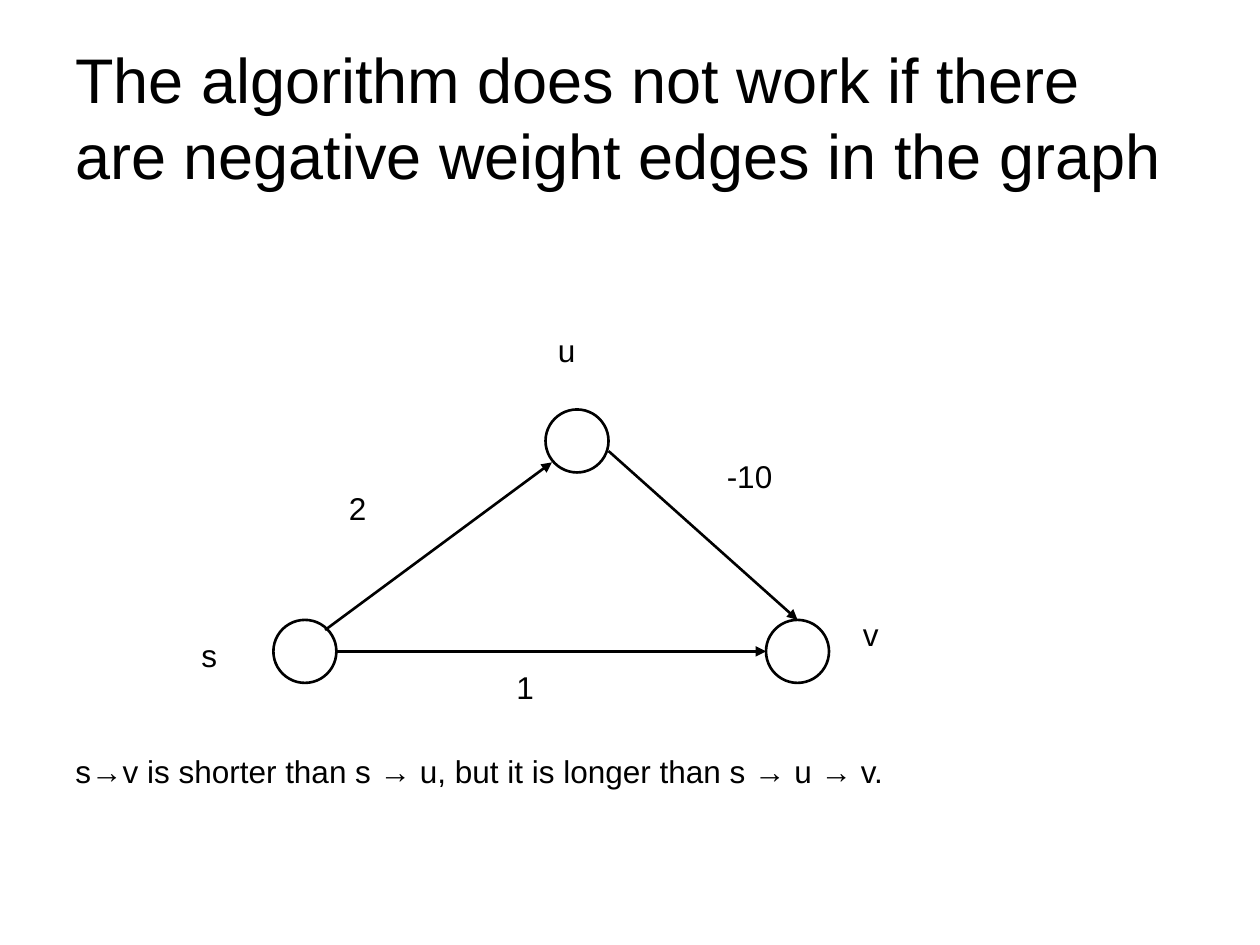
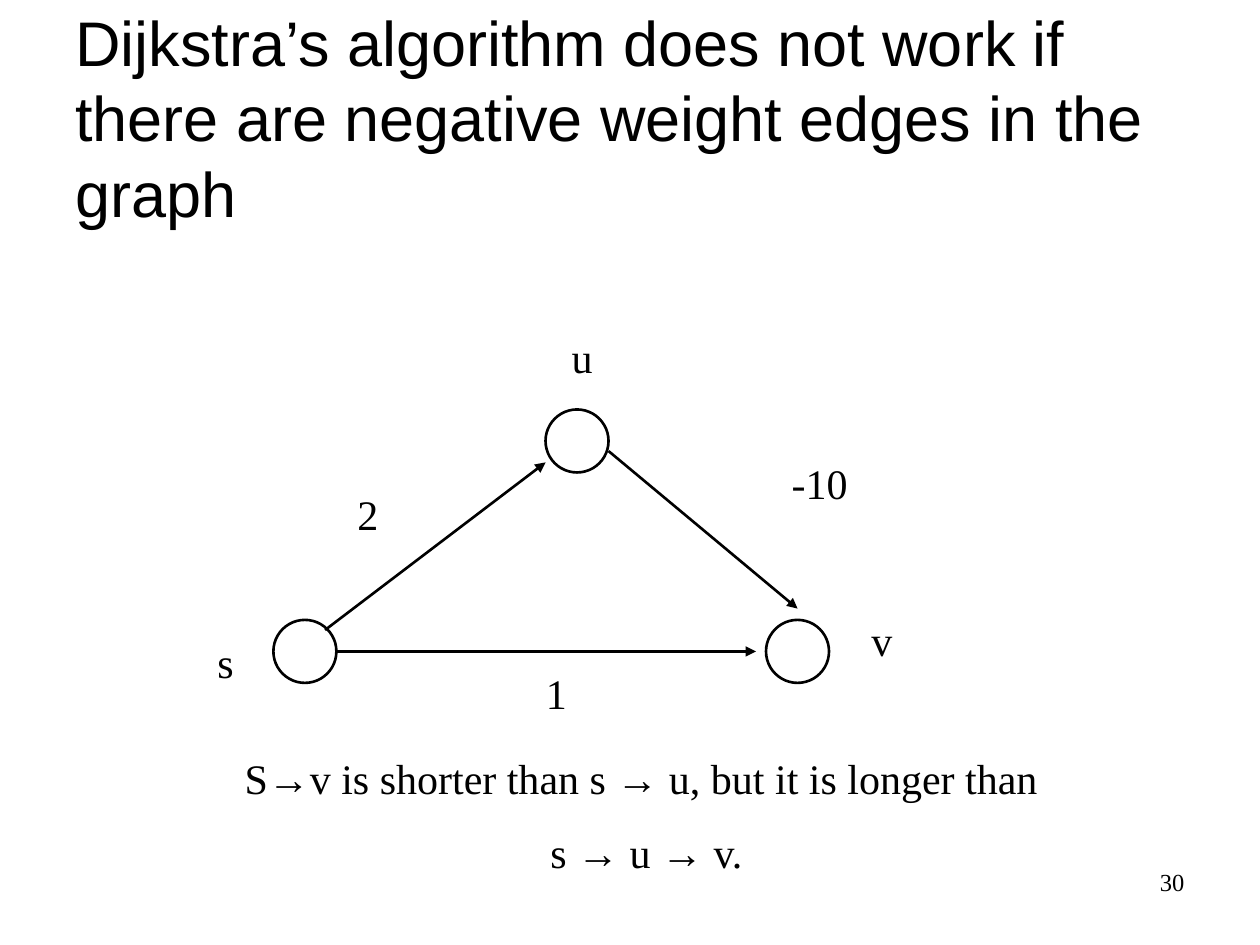
from dataclasses import dataclass

from lxml.etree import SubElement
from pptx import Presentation
from pptx.dml.color import RGBColor
from pptx.enum.shapes import MSO_CONNECTOR, MSO_SHAPE
from pptx.enum.text import MSO_ANCHOR, MSO_AUTO_SIZE, PP_ALIGN
from pptx.oxml.ns import qn
from pptx.slide import Slide
from pptx.util import Inches, Pt

BLACK = "000000"
WHITE = "FFFFFF"
LINE_WIDTH = Pt(1.5)
NODE_SIZE = 0.5


@dataclass(frozen=True)
class TextStyle:
    font: str
    size: float
    align: PP_ALIGN = PP_ALIGN.LEFT
    anchor: MSO_ANCHOR = MSO_ANCHOR.TOP
    grow: bool = False
    space_between: float = 0


@dataclass(frozen=True)
class Box:
    left: float
    top: float
    width: float
    height: float


@dataclass(frozen=True)
class Edge:
    start: tuple[float, float]
    end: tuple[float, float]


@dataclass(frozen=True)
class GraphSlide:
    title: str
    edge_ends: tuple[tuple[float, float], ...]
    label_style: TextStyle
    caption_box: Box
    caption: tuple[str, ...]
    page_number: str = ""


TITLE_STYLE = TextStyle("Arial", 36, anchor=MSO_ANCHOR.MIDDLE)
PAGE_STYLE = TextStyle("Times New Roman", 14, PP_ALIGN.RIGHT)
TITLE_BOX = Box(0.5, 0.3, 9, 1.25)
PAGE_BOX = Box(7.17, 6.83, 2.33, 0.52)

# Top left corners of the nodes s, u and v
NODES = ((2.17, 4.92), (4.33, 3.25), (6.08, 4.92))
# Starts of the edges s-u, s-v and u-v
EDGE_STARTS = ((2.58, 5), (2.67, 5.17), (4.83, 3.58))
LABELS = {
    "1": Box(4, 5.25, 0.83, 0.5),
    "2": Box(2.67, 3.83, 0.5, 0.5),
    "-10": Box(5.67, 3.58, 1.67, 0.5),
    "s": Box(1.5, 5, 0.58, 0.5),
    "v": Box(6.75, 4.83, 0.5, 0.5),
    "u": Box(4.33, 2.58, 0.58, 0.5),
}

SLIDES = (
    GraphSlide(
        title="The algorithm does not work if there are negative weight edges in the graph",
        edge_ends=((4.38, 3.67), (6.08, 5.17), (6.33, 4.92)),
        label_style=TextStyle("Arial", 18, grow=True),
        caption_box=Box(0.5, 5.92, 9.25, 0.4),
        caption=("s→v is shorter than s → u, but it is longer than s → u → v.",),
    ),
    GraphSlide(
        title="Dijkstra’s algorithm does not work if there are negative weight edges in the graph",
        edge_ends=((4.33, 3.67), (6, 5.17), (6.33, 4.83)),
        label_style=TextStyle(
            "Times New Roman", 24, PP_ALIGN.CENTER, grow=True, space_between=13.5
        ),
        caption_box=Box(1.17, 5.92, 7.92, 1.11),
        caption=("S→v is shorter than s → u, but it is longer than ", "s → u → v."),
        page_number="30",
    ),
)


def color(value: str) -> RGBColor:
    return RGBColor.from_string(value)


def add_text(slide: Slide, box: Box, style: TextStyle, *lines: str) -> None:
    shape = slide.shapes.add_textbox(
        Inches(box.left), Inches(box.top), Inches(box.width), Inches(box.height)
    )
    frame = shape.text_frame
    frame.word_wrap = True
    frame.vertical_anchor = style.anchor
    frame.auto_size = MSO_AUTO_SIZE.SHAPE_TO_FIT_TEXT if style.grow else MSO_AUTO_SIZE.NONE
    frame.text = "\n".join(lines)
    for index, paragraph in enumerate(frame.paragraphs):
        paragraph.alignment = style.align
        if index:
            paragraph.space_before = Pt(style.space_between)
        paragraph.font.name = style.font
        paragraph.font.size = Pt(style.size)
        paragraph.font.color.rgb = color(BLACK)


def add_node(slide: Slide, left: float, top: float) -> None:
    shape = slide.shapes.add_shape(
        MSO_SHAPE.OVAL, Inches(left), Inches(top), Inches(NODE_SIZE), Inches(NODE_SIZE)
    )
    shape.shadow.inherit = False
    shape.fill.solid()
    shape.fill.fore_color.rgb = color(WHITE)
    shape.line.color.rgb = color(BLACK)
    shape.line.width = LINE_WIDTH


def add_arrow(slide: Slide, edge: Edge) -> None:
    connector = slide.shapes.add_connector(
        MSO_CONNECTOR.STRAIGHT, *(Inches(value) for value in edge.start + edge.end)
    )
    connector.line.color.rgb = color(BLACK)
    connector.line.width = LINE_WIDTH
    properties = connector.line._get_or_add_ln()
    SubElement(properties, qn("a:tailEnd"), type="triangle")
    SubElement(properties.getparent(), qn("a:effectLst"))


def draw_graph_slide(slide: Slide, content: GraphSlide) -> None:
    if content.page_number:
        add_text(slide, PAGE_BOX, PAGE_STYLE, content.page_number)
    add_text(slide, TITLE_BOX, TITLE_STYLE, content.title)
    for left, top in NODES:
        add_node(slide, left, top)
    for start, end in zip(EDGE_STARTS, content.edge_ends):
        add_arrow(slide, Edge(start, end))
    for label, box in LABELS.items():
        add_text(slide, box, content.label_style, label)
    add_text(slide, content.caption_box, content.label_style, *content.caption)


def main() -> None:
    presentation = Presentation()
    presentation.slide_width = Inches(10)
    presentation.slide_height = Inches(7.5)
    blank_layout = presentation.slide_layouts[6]
    for content in SLIDES:
        draw_graph_slide(presentation.slides.add_slide(blank_layout), content)
    presentation.save("out.pptx")


if __name__ == "__main__":
    main()
